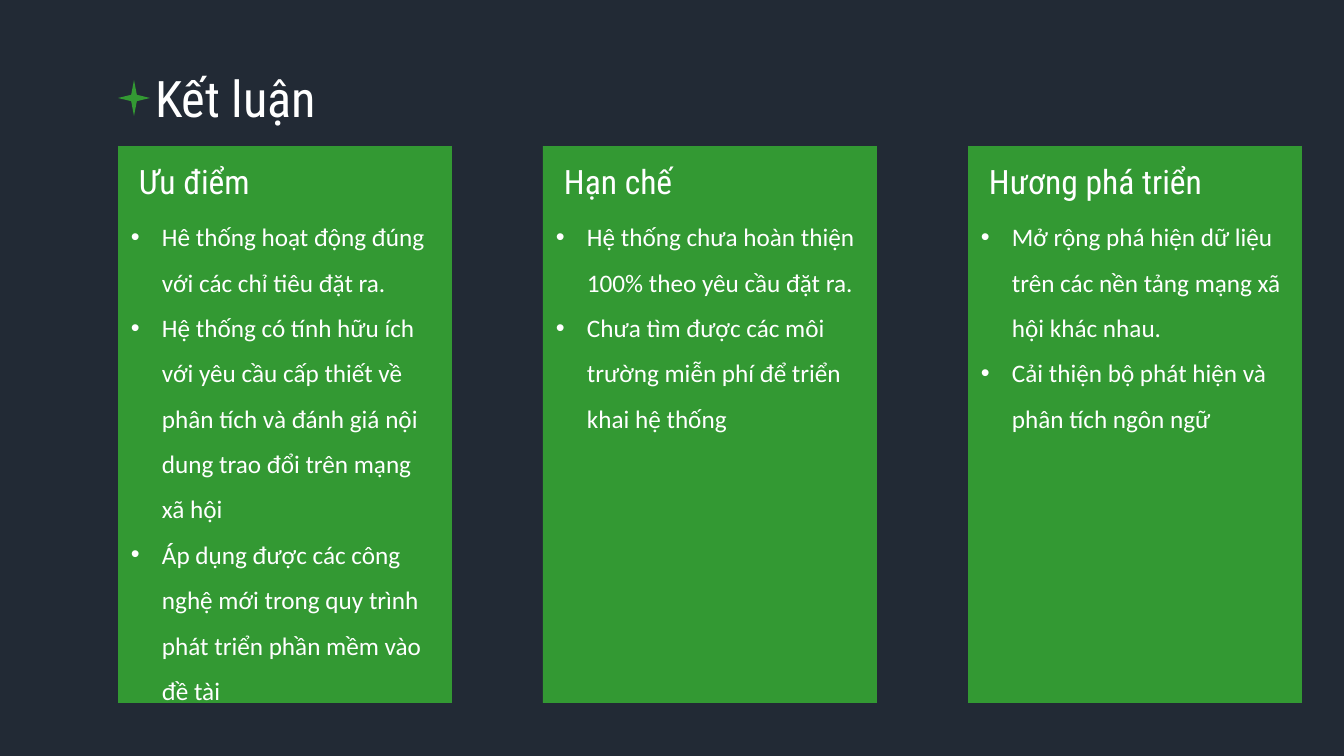
from lxml.etree import SubElement
from pptx import Presentation
from pptx.dml.color import RGBColor
from pptx.enum.shapes import MSO_SHAPE as Shape
from pptx.enum.text import MSO_ANCHOR as Anchor, MSO_AUTO_SIZE as AutoSize, PP_ALIGN as Align
from pptx.oxml.ns import qn
from pptx.util import Pt

TITLE = "Kết luận"
COLUMNS = [  # heading, body height, bullets
    ("Ưu điểm", 578, [
        "Hê thống hoạt động đúng với các chỉ tiêu đặt ra.",
        "Hệ thống có tính hữu ích với yêu cầu cấp thiết về phân tích và đánh giá "
        "nội dung trao đổi trên mạng xã hội",
        "Áp dụng được các công nghệ mới trong quy trình phát triển phần mềm vào đề tài",
    ]),
    ("Hạn chế", 303, [
        "Hệ thống chưa hoàn thiện 100% theo yêu cầu đặt ra.",
        "Chưa tìm được các môi trường miễn phí để triển khai hệ thống",
    ]),
    ("Hương phá triển", 303, [
        "Mở rộng phá hiện dữ liệu trên các nền tảng mạng xã hội khác nhau.",
        "Cải thiện bộ phát hiện và phân tích ngôn ngữ",
    ]),
]

NAVY = RGBColor(0x22, 0x2A, 0x35)
GREEN = RGBColor(0x33, 0x99, 0x33)
WHITE = RGBColor(0xFF, 0xFF, 0xFF)
TITLE_FONT = {"name": "Roboto Condensed", "size": Pt(72)}
HEADING_FONT = {"name": "Roboto Condensed", "size": Pt(48)}
BODY_FONT = {"name": "Calibri", "size": Pt(36)}

PX_PER_INCH = 50.4
LEFT, PITCH = 118, 425
PANEL_TOP, PANEL_W, PANEL_H = 146, 334, 557
INDENT = 31


def px(n):
    return round(n * 914400 / PX_PER_INCH)


def add_green_shape(slide, kind, *box):
    sp = slide.shapes.add_shape(kind, *map(px, box))
    sp.shadow.inherit = False
    sp.fill.solid()
    sp.fill.fore_color.rgb = GREEN
    sp.line.fill.background()


def write(tf, lines, font):
    tf.word_wrap = True
    tf.auto_size = AutoSize.SHAPE_TO_FIT_TEXT
    tf.vertical_anchor = Anchor.TOP
    for i, line in enumerate(lines):
        p = tf.paragraphs[0] if i == 0 else tf.add_paragraph()
        p.alignment = Align.LEFT
        r = p.add_run()
        r.text = line
        r.font.color.rgb = WHITE
        for key, value in font.items():
            setattr(r.font, key, value)


def add_text(slide, lines, font, *box):
    tf = slide.shapes.add_textbox(*map(px, box)).text_frame
    write(tf, lines, font)
    return tf


def add_bullet(p):
    p.line_spacing = 1.5
    pPr = p._p.get_or_add_pPr()
    pPr.set("marL", str(px(INDENT)))
    pPr.set("indent", str(-px(INDENT)))
    SubElement(pPr, qn("a:buFont"), typeface="Arial")
    SubElement(pPr, qn("a:buChar"), char="•")


def add_column(slide, x, heading, body_h, bullets):
    add_green_shape(slide, Shape.RECTANGLE, x, PANEL_TOP, PANEL_W, PANEL_H)
    body = add_text(slide, bullets, BODY_FONT, x + 8, PANEL_TOP + 58, PANEL_W - 16, body_h)
    for p in body.paragraphs:
        add_bullet(p)
    add_text(slide, [heading], HEADING_FONT, x + 16, PANEL_TOP + 12, 258, 46)


def main():
    prs = Presentation()
    prs.slide_width, prs.slide_height = px(1344), px(756)
    slide = prs.slides.add_slide(prs.slide_layouts[5])
    slide.background.fill.solid()
    slide.background.fill.fore_color.rgb = NAVY

    title = slide.shapes.title
    title.left, title.top, title.width, title.height = map(px, (150, 65, 200, 66))
    write(title.text_frame, [TITLE], TITLE_FONT)
    add_green_shape(slide, Shape.STAR_4_POINT, LEFT, 80, 32, 36)

    for i, column in enumerate(COLUMNS):
        add_column(slide, LEFT + i * PITCH, *column)
    prs.save("out.pptx")


if __name__ == "__main__":
    main()
